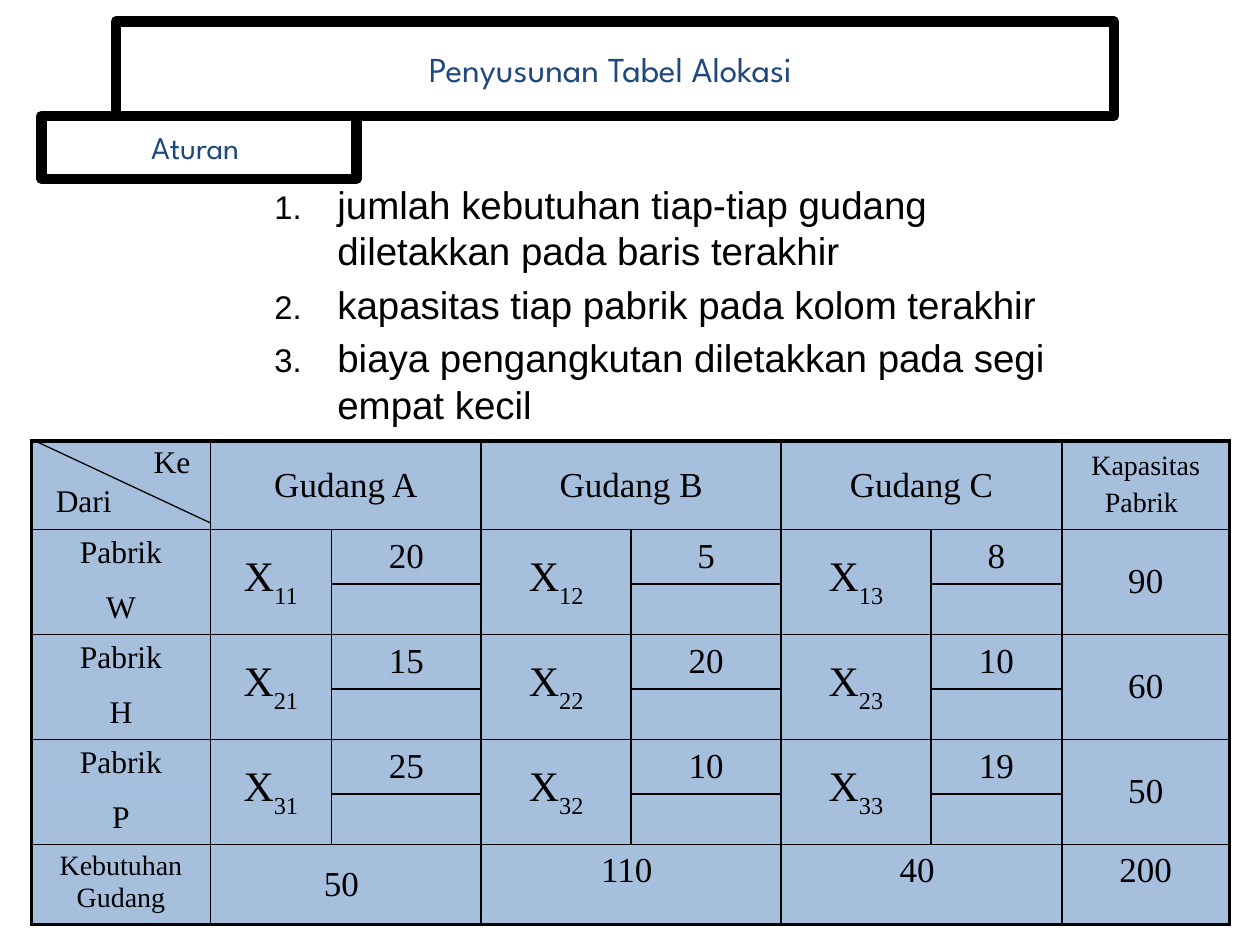
from dataclasses import dataclass

from lxml import etree
from pptx import Presentation
from pptx.dml.color import RGBColor
from pptx.enum.shapes import MSO_CONNECTOR, MSO_SHAPE
from pptx.enum.text import MSO_ANCHOR, MSO_AUTO_SIZE, PP_ALIGN
from pptx.oxml.ns import qn
from pptx.util import Inches, Pt

BLACK = RGBColor(0, 0, 0)
WHITE = RGBColor(255, 255, 255)
NAVY = RGBColor(0x1F, 0x49, 0x7D)
BLUE = RGBColor(0x4F, 0x81, 0xBD)
CENTER = PP_ALIGN.CENTER
MIDDLE, TOP = MSO_ANCHOR.MIDDLE, MSO_ANCHOR.TOP
HEADING_FONT, RULE_FONT, TABLE_FONT = "League Spartan", "Arial", "Times New Roman"


@dataclass
class Factory:
    name: str
    costs: tuple[int, ...]
    capacity: int


WAREHOUSES = {"A": 50, "B": 110, "C": 40}
FACTORIES = [
    Factory("W", (20, 5, 8), 90),
    Factory("H", (15, 20, 10), 60),
    Factory("P", (25, 10, 19), 50),
]
RULES = [
    "jumlah kebutuhan tiap-tiap gudang diletakkan pada baris terakhir",
    "kapasitas tiap pabrik pada kolom terakhir",
    "biaya pengangkutan diletakkan pada segi empat kecil",
]
COLUMN_WIDTHS = [1.42, 0.96, 1.19, 1.19, 1.19, 1.19, 1.04, 1.33]
ROW_HEIGHTS = [0.65] + [0.41, 0.38] * len(FACTORIES) + [0.59]
LAST_ROW, LAST_COLUMN = len(ROW_HEIGHTS) - 1, len(COLUMN_WIDTHS) - 1


def place(shape, left: float, top: float, width: float, height: float) -> None:
    shape.left, shape.top = Inches(left), Inches(top)
    shape.width, shape.height = Inches(width), Inches(height)


def set_font(font, name: str, size: float, color: RGBColor = BLACK) -> None:
    font.name, font.size, font.color.rgb = name, Pt(size), color


def fill_half_transparent(fill, color: RGBColor) -> None:
    fill.solid()
    fill.fore_color.rgb = color
    color_xml = fill._xPr.find(qn("a:solidFill"))[0]
    etree.SubElement(color_xml, qn("a:alpha"), val="50000")


def format_heading(shape, text: str, size: float) -> None:
    """Centred heading in a thick black frame."""
    fill_half_transparent(shape.fill, WHITE)
    shape.line.color.rgb = BLACK
    shape.line.width = Pt(6)
    frame = shape.text_frame
    frame.text = text
    frame.word_wrap = True
    frame.auto_size = MSO_AUTO_SIZE.NONE
    frame.vertical_anchor = MIDDLE
    paragraph = frame.paragraphs[0]
    paragraph.alignment = CENTER
    set_font(paragraph.font, HEADING_FONT, size, NAVY)


def add_rules(slide) -> None:
    box = slide.shapes.add_textbox(Inches(2.08), Inches(1.32), Inches(6.83), Inches(2.18))
    frame = box.text_frame
    frame.word_wrap = True
    frame.vertical_anchor = MIDDLE
    for index, rule in enumerate(RULES):
        paragraph = frame.add_paragraph() if index else frame.paragraphs[0]
        paragraph.text = rule
        if index:
            paragraph.space_before = Pt(4.4)
        properties = paragraph._p.get_or_add_pPr()
        properties.set("marL", str(Inches(0.5)))
        properties.set("indent", str(Inches(-0.5)))
        etree.SubElement(properties, qn("a:buSzPct"), val="85000")
        etree.SubElement(properties, qn("a:buFont"), typeface=RULE_FONT)
        etree.SubElement(properties, qn("a:buAutoNum"), type="arabicPeriod")
        set_font(paragraph.font, RULE_FONT, 22)


def border_widths(row: int, column: int) -> dict[str, float]:
    """Thick outside, thin inside, open where two half rows belong together."""
    widths = {
        "L": 2.25 if column == 0 else 1,
        "R": 2.25 if column == LAST_COLUMN else 1,
        "T": 2.25 if row == 0 else 1,
        "B": 2.25 if row == LAST_ROW else 1,
    }
    if 0 < row < LAST_ROW:
        upper_half = row % 2 == 1
        if column == 0:
            widths["B" if upper_half else "T"] = 0
        elif column < LAST_COLUMN and not upper_half:
            widths["R" if column % 2 else "L"] = 0
    return widths


def format_cell(cell, row: int, column: int) -> None:
    properties = cell._tc.get_or_add_tcPr()
    for side, width in border_widths(row, column).items():
        line = etree.SubElement(properties, qn(f"a:ln{side}"), w=str(Pt(width)))
        if width:
            solid = etree.SubElement(line, qn("a:solidFill"))
            etree.SubElement(solid, qn("a:srgbClr"), val=str(BLACK))
        else:
            etree.SubElement(line, qn("a:noFill"))
    fill_half_transparent(cell.fill, BLUE)
    set_font(cell.text_frame.paragraphs[0].font, TABLE_FONT, 16)


def write_cell(cell, text: str, size: float = 20, anchor=MIDDLE) -> None:
    cell.vertical_anchor = anchor
    paragraph = cell.text_frame.paragraphs[0]
    paragraph.text = text
    paragraph.alignment = CENTER
    set_font(paragraph.font, TABLE_FONT, size)


def add_run(cell, text: str, size: float):
    run = cell.text_frame.paragraphs[0].add_run()
    run.text = text
    set_font(run.font, TABLE_FONT, size)
    return run


def add_allocation_table(slide) -> None:
    table = slide.shapes.add_table(
        len(ROW_HEIGHTS), len(COLUMN_WIDTHS), Inches(0.25), Inches(3.5),
        Inches(sum(COLUMN_WIDTHS)), Inches(sum(ROW_HEIGHTS))).table
    table.first_row = table.horz_banding = False
    for column, width in zip(table.columns, COLUMN_WIDTHS):
        column.width = Inches(width)
    for row, height in zip(table.rows, ROW_HEIGHTS):
        row.height = Inches(height)
    for row in range(LAST_ROW + 1):
        for column in range(LAST_COLUMN + 1):
            format_cell(table.cell(row, column), row, column)

    # Warehouse headings and needs
    for index, (name, need) in enumerate(WAREHOUSES.items()):
        column = 1 + 2 * index
        for row, text in ((0, f"Gudang {name}"), (LAST_ROW, f"{need} ")):
            cell = table.cell(row, column)
            cell.merge(table.cell(row, column + 1))
            write_cell(cell, text, anchor=TOP if row and index else MIDDLE)
    write_cell(table.cell(LAST_ROW, 0), "Kebutuhan Gudang", 16, TOP)
    write_cell(table.cell(LAST_ROW, LAST_COLUMN), str(sum(WAREHOUSES.values())), anchor=TOP)
    capacity_heading = table.cell(0, LAST_COLUMN)
    write_cell(capacity_heading, "")
    add_run(capacity_heading, "Kapasitas Pabrik", 16)
    add_run(capacity_heading, " ", 20)

    # Factories: name, allocations with their costs, capacity
    for number, factory in enumerate(FACTORIES, start=1):
        row = 2 * number - 1
        write_cell(table.cell(row, 0), "Pabrik", 18, TOP)
        write_cell(table.cell(row + 1, 0), factory.name, 18, TOP)
        for index, cost in enumerate(factory.costs):
            column = 1 + 2 * index
            allocation = table.cell(row, column)
            allocation.merge(table.cell(row + 1, column))
            write_cell(allocation, "", 24)
            add_run(allocation, "X", 24)
            subscript = add_run(allocation, f"{number}{index + 1}", 24)
            subscript._r.get_or_add_rPr().set("baseline", "-30000")
            write_cell(table.cell(row, column + 1), str(cost))
        capacity = table.cell(row, LAST_COLUMN)
        capacity.merge(table.cell(row + 1, LAST_COLUMN))
        write_cell(capacity, str(factory.capacity))


def add_corner_label(slide, text: str, left: float, top: float, width: float) -> None:
    box = slide.shapes.add_textbox(Inches(left), Inches(top), Inches(width), Inches(0.3))
    frame = box.text_frame
    frame.margin_left = frame.margin_right = frame.margin_top = frame.margin_bottom = 0
    frame.word_wrap = True
    frame.text = text
    frame.paragraphs[0].alignment = CENTER
    set_font(frame.paragraphs[0].font, TABLE_FONT, 18)


def main() -> None:
    presentation = Presentation()
    presentation.slide_width, presentation.slide_height = Inches(10), Inches(7.5)
    slide = presentation.slides.add_slide(presentation.slide_layouts[5])

    title = slide.shapes.title
    place(title, 0.92, 0.17, 7.92, 0.75)
    format_heading(title, "Penyusunan Tabel Alokasi ", 20)
    add_rules(slide)
    add_allocation_table(slide)

    # Split corner cell
    add_corner_label(slide, "Ke", 1.09, 3.51, 0.55)
    diagonal = slide.shapes.add_connector(
        MSO_CONNECTOR.STRAIGHT, Inches(0.28), Inches(3.5), Inches(1.67), Inches(4.15))
    diagonal.line.color.rgb = BLACK
    diagonal.line.width = Pt(0.75)
    etree.SubElement(diagonal._element.spPr, qn("a:effectLst"))
    add_corner_label(slide, "Dari", 0.25, 3.82, 0.83)

    subtitle = slide.shapes.add_shape(
        MSO_SHAPE.RECTANGLE, Inches(0.33), Inches(0.92), Inches(2.5), Inches(0.5))
    subtitle.shadow.inherit = False
    format_heading(subtitle, "Aturan ", 18)
    presentation.save("out.pptx")


if __name__ == "__main__":
    main()
